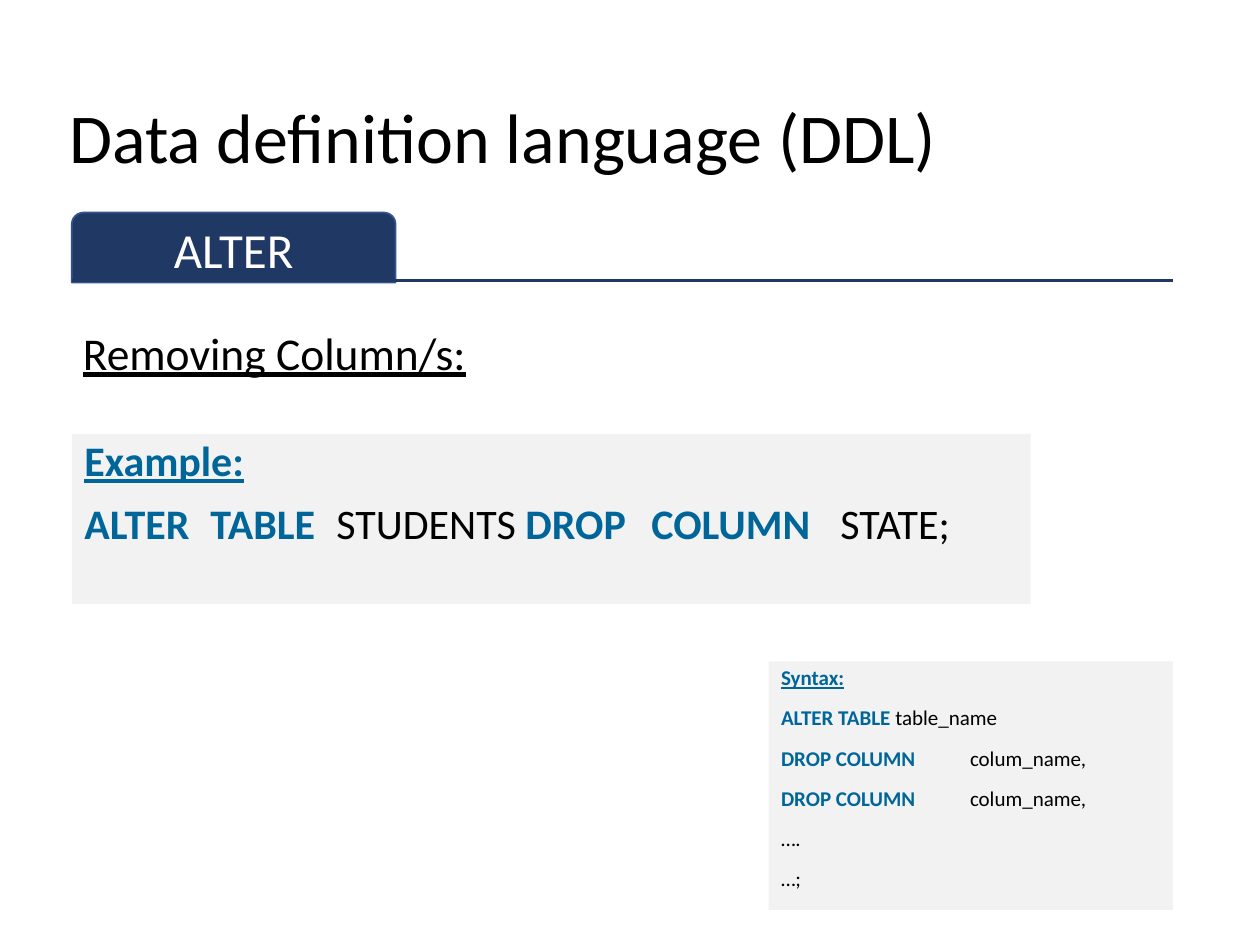
import dataclasses
import typing

import lxml.etree
import pptx
import pptx.dml.color
import pptx.enum.shapes
import pptx.enum.text
import pptx.oxml.ns
import pptx.util

WIDTH, HEIGHT = 10, 7.5
FONT = "Calibri"
NAVY, NAVY_EDGE, BLUE = "203864", "325491", "006699"
BLACK, WHITE, PANEL = "000000", "FFFFFF", "F2F2F2"
LEFT, RIGHT = 0.057, 0.931  # content margins as shares of the width
ALIGN = pptx.enum.text.PP_ALIGN
ANCHOR = pptx.enum.text.MSO_ANCHOR
SHAPES = pptx.enum.shapes.MSO_SHAPE


@dataclasses.dataclass
class Area:
    """A rectangle given as shares of the slide's size."""
    left: float
    top: float
    width: float
    height: float

    def lengths(self) -> tuple:
        return (across(self.left), down(self.top), across(self.width), down(self.height))


class Piece(typing.NamedTuple):
    text: str
    keyword: bool = False
    underline: bool = False


@dataclasses.dataclass
class CodePanel:
    area: Area
    size: int
    lines: list
    tabs: tuple  # tab stops in inches


def across(share: float) -> int:
    return pptx.util.Inches(WIDTH * share)


def down(share: float) -> int:
    return pptx.util.Inches(HEIGHT * share)


def color(code: str) -> pptx.dml.color.RGBColor:
    return pptx.dml.color.RGBColor.from_string(code)


def place(shape, area: Area) -> None:
    shape.left, shape.top, shape.width, shape.height = area.lengths()


def paint(shape, fill: str, line: typing.Optional[str] = None) -> None:
    shape.fill.solid()
    shape.fill.fore_color.rgb = color(fill)
    if line:
        shape.line.color.rgb = color(line)
        shape.line.width = pptx.util.Pt(1)
    else:
        shape.line.fill.background()


def prepare_frame(shape, anchor=ANCHOR.TOP):
    frame = shape.text_frame
    frame.word_wrap = True
    frame.auto_size = pptx.enum.text.MSO_AUTO_SIZE.NONE
    frame.vertical_anchor = anchor
    return frame


def add_text(paragraph, text: str, *, size: int, ink: str = BLACK, bold: bool = False,
             underline: bool = False, align=ALIGN.LEFT) -> None:
    paragraph.alignment = align
    run = paragraph.add_run()
    run.text = text
    run.font.name = FONT
    run.font.size = pptx.util.Pt(size)
    run.font.color.rgb = color(ink)
    run.font.bold = bold
    run.font.underline = underline


def remove_bullet_and_set_tabs(paragraph, stops: tuple) -> None:
    properties = paragraph._p.get_or_add_pPr()
    properties.set("marL", "0")
    properties.set("indent", "0")
    name = pptx.oxml.ns.qn
    lxml.etree.SubElement(properties, name("a:buNone"))
    tab_list = lxml.etree.SubElement(properties, name("a:tabLst"))
    for stop in stops:
        lxml.etree.SubElement(tab_list, name("a:tab"),
                              pos=str(pptx.util.Inches(stop)), algn="l")


def fill_code_panel(shape, panel: CodePanel) -> None:
    paint(shape, PANEL)
    frame = prepare_frame(shape)
    for index, line in enumerate(panel.lines):
        paragraph = frame.add_paragraph() if index else frame.paragraphs[0]
        remove_bullet_and_set_tabs(paragraph, panel.tabs)
        paragraph.line_spacing = 0.9
        paragraph.space_before = pptx.util.Pt(10 if index else 0)
        for piece in line:
            add_text(paragraph, piece.text, size=panel.size, bold=piece.keyword,
                     ink=BLUE if piece.keyword else BLACK, underline=piece.underline)


def add_rule(slide, left: float, right: float, top: float) -> None:
    rule = slide.shapes.add_connector(pptx.enum.shapes.MSO_CONNECTOR.STRAIGHT,
                                      across(left), down(top), across(right), down(top))
    rule.line.color.rgb = color(NAVY)
    rule.line.width = pptx.util.Pt(1.5)
    lxml.etree.SubElement(rule._element.spPr, pptx.oxml.ns.qn("a:effectLst"))


DROP_LINE = [Piece("DROP COLUMN\t", True), Piece("colum_name,")]
EXAMPLE = CodePanel(
    Area(LEFT, 0.459, 0.761, 0.18), 24,
    [[Piece("Example:", True, True)],
     [Piece("ALTER\tTABLE\t", True), Piece("STUDENTS\t"),
      Piece("DROP\tCOLUMN\t", True), Piece("STATE;")]],
    (0.98, 2.05, 3.62, 4.56, 5.98))
SYNTAX = CodePanel(
    Area(0.61, 0.7, RIGHT - 0.61, 0.263), 12,
    [[Piece("Syntax:", True, True)],
     [Piece("ALTER TABLE ", True), Piece("table_name")],
     DROP_LINE, DROP_LINE, [Piece("….")], [Piece("…;")]],
    (1.18,))


def main() -> None:
    presentation = pptx.Presentation()
    presentation.slide_width = pptx.util.Inches(WIDTH)
    presentation.slide_height = pptx.util.Inches(HEIGHT)
    slide = presentation.slides.add_slide(presentation.slide_layouts[1])

    # Title
    title = slide.shapes.title
    place(title, Area(0.045, 0.053, 0.887, 0.193))
    paragraph = prepare_frame(title, ANCHOR.MIDDLE).paragraphs[0]
    paragraph.line_spacing = 0.9
    add_text(paragraph, "Data definition language (DDL)", size=40)

    # Section tab and rule
    tab = slide.shapes.add_shape(SHAPES.ROUND_2_SAME_RECTANGLE,
                                 *Area(LEFT, 0.225, 0.257, 0.074).lengths())
    tab.shadow.inherit = False
    paint(tab, NAVY, NAVY_EDGE)
    add_text(prepare_frame(tab, ANCHOR.MIDDLE).paragraphs[0], "ALTER",
             size=28, ink=WHITE, align=ALIGN.CENTER)
    add_rule(slide, LEFT, RIGHT, 0.297)

    # Subheading
    heading = slide.shapes.add_textbox(*Area(0.056, 0.337, 0.874, 0.072).lengths())
    add_text(prepare_frame(heading).paragraphs[0], "Removing Column/s:",
             size=26, underline=True, align=ALIGN.JUSTIFY)

    # Example in the body placeholder, syntax in its own panel
    body = slide.placeholders[1]
    place(body, EXAMPLE.area)
    fill_code_panel(body, EXAMPLE)
    syntax = slide.shapes.add_shape(SHAPES.RECTANGLE, *SYNTAX.area.lengths())
    syntax.shadow.inherit = False
    fill_code_panel(syntax, SYNTAX)

    presentation.save("out.pptx")


if __name__ == "__main__":
    main()
